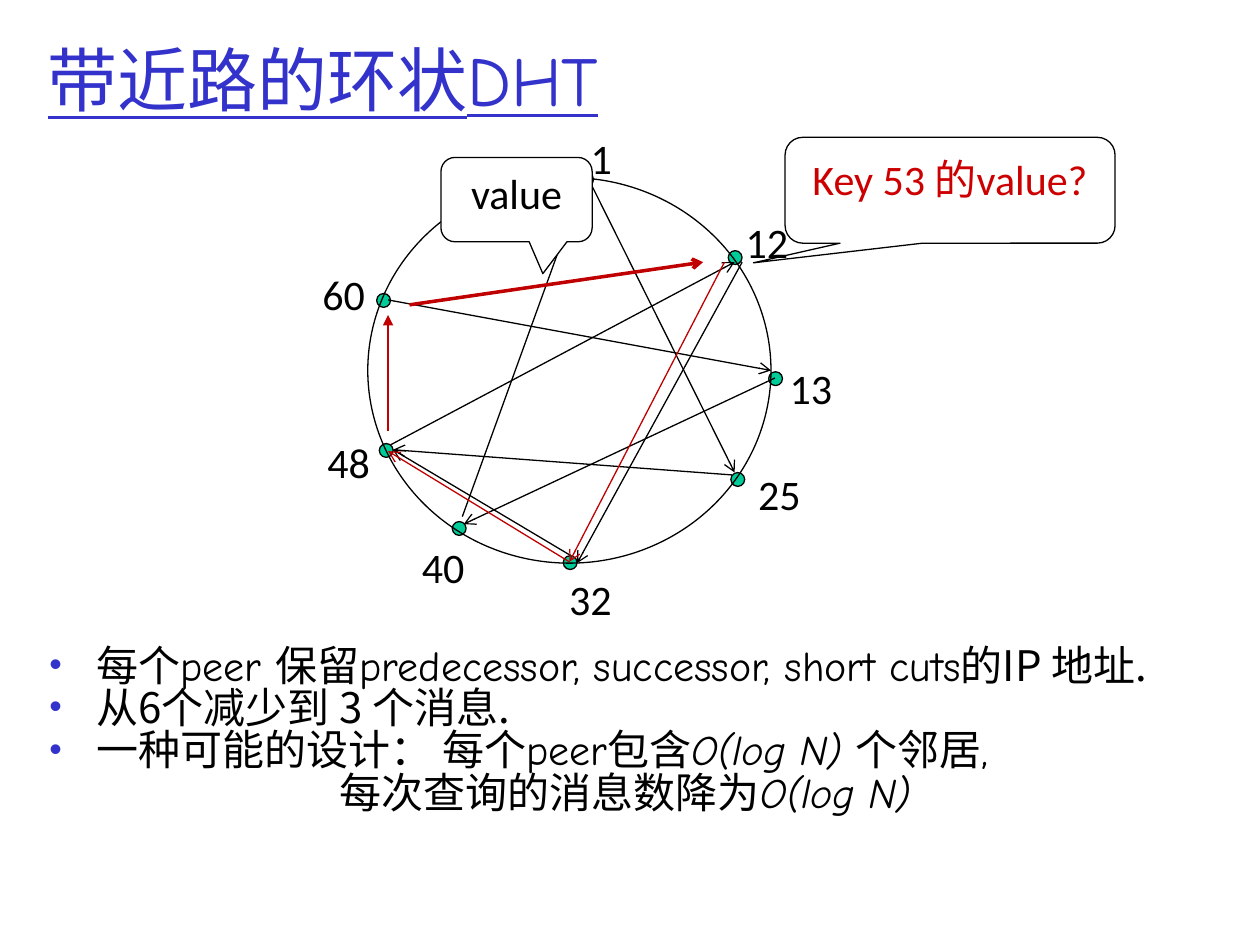
from typing import NamedTuple

from lxml import etree
from pptx import Presentation
from pptx.dml.color import RGBColor
from pptx.enum import shapes, text
from pptx.oxml import ns
from pptx.util import Pt

BLACK = RGBColor(0x00, 0x00, 0x00)
WHITE = RGBColor(0xFF, 0xFF, 0xFF)
BLUE = RGBColor(0x33, 0x33, 0xCC)
GREEN = RGBColor(0x00, 0xCC, 0x99)
DARK_RED = RGBColor(0xC0, 0x00, 0x00)
QUERY_RED = RGBColor(0xCC, 0x00, 0x00)
CJK, COMIC, CALIBRI = "Noto Sans CJK SC", "Comic Neue", "Calibri"
DOT = 7.92
HANGING = 27


class Peer(NamedTuple):
    key: str
    x: float
    y: float
    label_left: float
    label_top: float


class Arrow(NamedTuple):
    x1: float
    y1: float
    x2: float
    y2: float
    color: RGBColor = BLACK
    width: float = 0.75
    head: str = "arrow"


class Span(NamedTuple):
    words: str
    font: str = CJK
    italic: bool = False


class Item(NamedTuple):
    spans: tuple
    margin: float = HANGING
    bullet: bool = True


PEERS = (
    Peer("1", 335.2, 102.6, 330.5, 72),
    Peer("12", 420.1, 147.2, 419, 120.2),
    Peer("13", 443.2, 216.4, 444.2, 203.8),
    Peer("25", 421.6, 274, 426.2, 264.2),
    Peer("32", 325.8, 321.5, 318.2, 324),
    Peer("40", 262.4, 302, 234, 306),
    Peer("48", 220.7, 257.4, 180, 246.2),
    Peer("60", 219.2, 171.7, 177.1, 149.8),
)
SHORTCUTS = (
    Arrow(442.8, 216, 265, 299.5),
    Arrow(418.3, 271.4, 224.6, 257),
    Arrow(326.2, 317.5, 224.6, 257),
    Arrow(264.2, 295.2, 334.1, 102.2),
    Arrow(223.2, 254.2, 419.8, 149.8),
    Arrow(221.8, 171.4, 440.6, 211.7),
    Arrow(337.7, 105.1, 419.8, 270),
    Arrow(424.1, 149.8, 329.8, 321.8),
)
QUERY_HOPS = (
    Arrow(414, 149.8, 325.4, 321.1, DARK_RED),
    Arrow(325.4, 321.1, 221.8, 257.8, DARK_RED),
)
REPLY_HOPS = (
    Arrow(234, 174.2, 401.8, 149.8, DARK_RED, 2),
    Arrow(221.8, 246.2, 221.8, 180, DARK_RED, head="triangle"),
)
TITLE = (Span("带近路的环状"), Span("DHT", COMIC))
ITEMS = (
    Item((Span("每个"), Span("peer ", COMIC), Span("保留"),
          Span("predecessor, successor, short cuts", COMIC), Span("的IP 地址."))),
    Item((Span("从6个减少到 3 个消息."),)),
    Item((Span("一种可能的设计： 每个"), Span("peer", COMIC), Span("包含"),
          Span("O(log N) ", COMIC, True), Span("个邻居"), Span(",", COMIC))),
    Item((Span("每次查询的消息数降为"), Span("O(log N)", COMIC, True)), 166, False),
)


def format_run(run, font: str, size: float, color: RGBColor) -> None:
    run.font.name = font
    run.font.size = Pt(size)
    run.font.color.rgb = color
    etree.SubElement(run.font._element, ns.qn("a:ea"), typeface=CJK)


def add_spans(paragraph, spans: tuple, size: float, color: RGBColor) -> None:
    for span in spans:
        run = paragraph.add_run()
        run.text = span.words
        run.font.italic = span.italic
        format_run(run, span.font, size, color)


def place(shape, left: float, top: float, width: float, height: float) -> None:
    shape.left, shape.top = Pt(left), Pt(top)
    shape.width, shape.height = Pt(width), Pt(height)


def set_indent(paragraph, item: Item) -> None:
    properties = paragraph._p.get_or_add_pPr()
    properties.set("marL", str(Pt(item.margin)))
    properties.set("indent", str(-Pt(HANGING) if item.bullet else 0))
    if not item.bullet:
        etree.SubElement(properties, ns.qn("a:buNone"))
        return
    color = etree.SubElement(properties, ns.qn("a:buClr"))
    etree.SubElement(color, ns.qn("a:srgbClr"), val=str(BLUE))
    etree.SubElement(properties, ns.qn("a:buSzPct"), val="85000")
    etree.SubElement(properties, ns.qn("a:buChar"), char="•")


def add_outline(slide, kind, left: float, top: float, width: float, height: float,
                fill: RGBColor | None = None):
    shape = slide.shapes.add_shape(kind, Pt(left), Pt(top), Pt(width), Pt(height))
    shape.shadow.inherit = False
    if fill is None:
        shape.fill.background()
    else:
        shape.fill.solid()
        shape.fill.fore_color.rgb = fill
    shape.line.color.rgb = BLACK
    shape.line.width = Pt(0.75)
    return shape


def add_callout(slide, left: float, top: float, width: float, height: float,
                tip: tuple, fill: RGBColor | None = None):
    callout = add_outline(slide, shapes.MSO_SHAPE.ROUNDED_RECTANGULAR_CALLOUT,
                          left, top, width, height, fill)
    for index, value in enumerate((*tip, 0.167)):
        callout.adjustments[index] = value
    return callout


def add_label(slide, words: str, left: float, top: float, width: float, height: float,
              color: RGBColor = BLACK, wrap: bool = False):
    box = slide.shapes.add_textbox(Pt(left), Pt(top), Pt(width), Pt(height))
    box.text_frame.text = words
    box.text_frame.word_wrap = wrap
    box.text_frame.auto_size = text.MSO_AUTO_SIZE.SHAPE_TO_FIT_TEXT
    format_run(box.text_frame.paragraphs[0].runs[0], CALIBRI, 24, color)
    return box


def add_arrow(slide, arrow: Arrow) -> None:
    line = slide.shapes.add_connector(shapes.MSO_CONNECTOR.STRAIGHT, Pt(arrow.x1),
                                      Pt(arrow.y1), Pt(arrow.x2), Pt(arrow.y2))
    line.line.color.rgb = arrow.color
    line.line.width = Pt(arrow.width)
    etree.SubElement(line.line._get_or_add_ln(), ns.qn("a:tailEnd"), type=arrow.head)
    etree.SubElement(line._element.spPr, ns.qn("a:effectLst"))


def write_title(title) -> None:
    place(title, 20, 0, 648, 90)
    title.text_frame.auto_size = text.MSO_AUTO_SIZE.NONE
    title.text_frame.vertical_anchor = text.MSO_ANCHOR.MIDDLE
    paragraph = title.text_frame.paragraphs[0]
    paragraph.alignment = text.PP_ALIGN.LEFT
    add_spans(paragraph, TITLE, 40, BLUE)
    for run in paragraph.runs:
        run.font.underline = True


def write_body(body) -> None:
    place(body, 21, 367.2, 699, 131.8)
    frame = body.text_frame
    frame.auto_size = text.MSO_AUTO_SIZE.NONE
    for index, item in enumerate(ITEMS):
        paragraph = frame.add_paragraph() if index else frame.paragraphs[0]
        set_indent(paragraph, item)
        paragraph.line_spacing = 0.8
        paragraph.space_before = Pt(1.2 if index else 0)
        add_spans(paragraph, item.spans, 24, BLACK)


def main() -> None:
    deck = Presentation()
    deck.slide_width, deck.slide_height = Pt(720), Pt(540)
    slide = deck.slides.add_slide(deck.slide_layouts[1])
    write_title(slide.shapes.title)
    write_body(slide.placeholders[1])

    for peer in PEERS:
        add_outline(slide, shapes.MSO_SHAPE.OVAL, peer.x - DOT / 2, peer.y - DOT / 2,
                    DOT, DOT, GREEN)
    add_outline(slide, shapes.MSO_SHAPE.OVAL, 210.2, 101.5, 230.4, 220.3)
    for peer in PEERS:
        add_label(slide, peer.key, peer.label_left, peer.label_top,
                  14.4 + 12.2 * len(peer.key), 36)
    for arrow in SHORTCUTS + QUERY_HOPS:
        add_arrow(slide, arrow)

    add_callout(slide, 448.6, 78.5, 188.6, 60.5, (-0.596, 0.686))
    query = add_label(slide, "Key 53 的value?", 457.2, 92.9, 187.2, 53.3, QUERY_RED, True)
    query.text_frame.paragraphs[0].line_spacing = Pt(20)

    reply = add_callout(slide, 252, 90, 86.4, 48.2, (0.174, 0.878), WHITE)
    reply.text_frame.text = "value"
    reply.text_frame.vertical_anchor = text.MSO_ANCHOR.TOP
    reply.text_frame.paragraphs[0].alignment = text.PP_ALIGN.CENTER
    format_run(reply.text_frame.paragraphs[0].runs[0], CALIBRI, 24, BLACK)
    for arrow in REPLY_HOPS:
        add_arrow(slide, arrow)

    deck.save("out.pptx")


if __name__ == "__main__":
    main()
